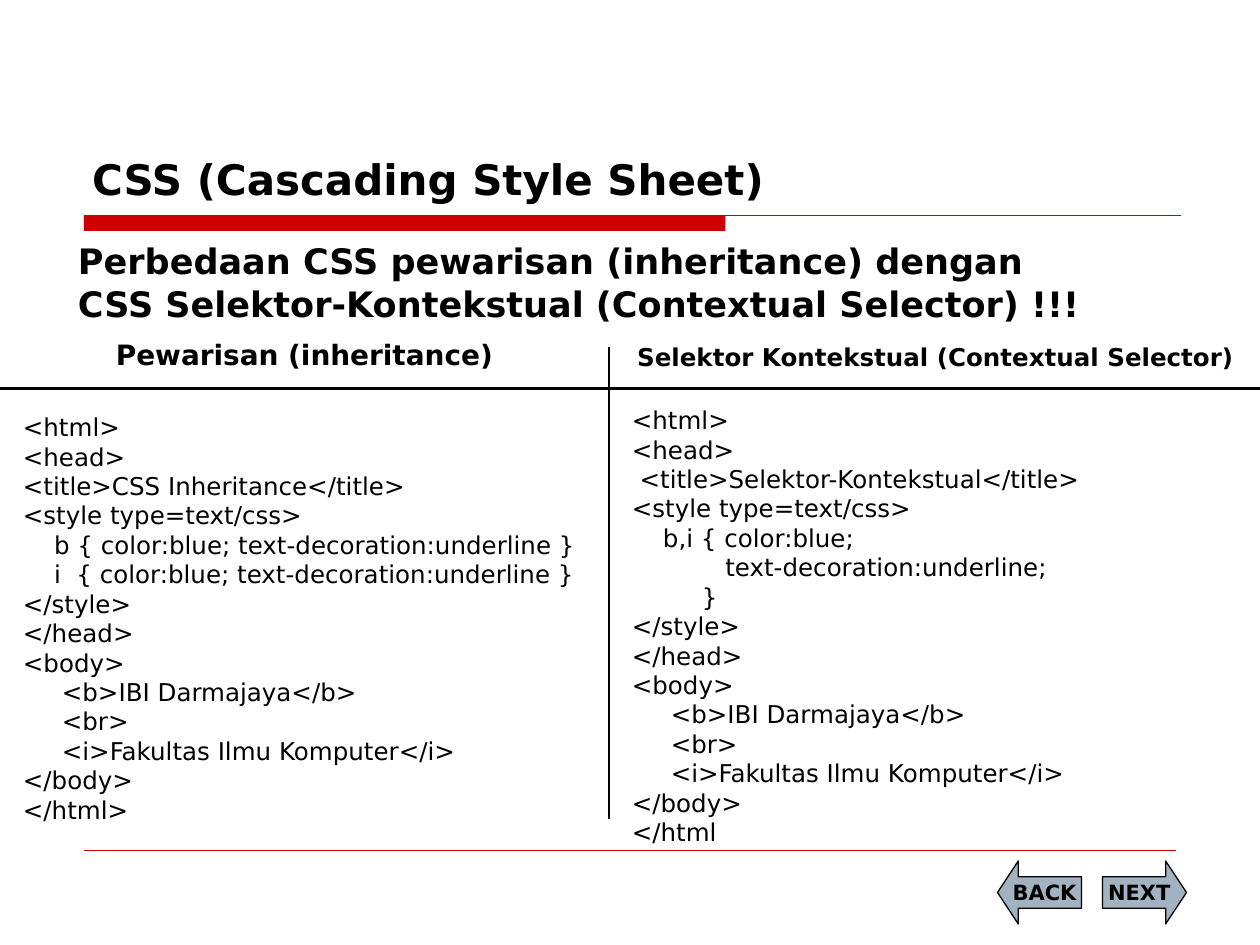
"""Build a slide that compares CSS inheritance with contextual selectors."""
from lxml.etree import SubElement
from pptx import Presentation
from pptx.dml.color import RGBColor
from pptx.enum.shapes import MSO_CONNECTOR as Conn, MSO_SHAPE as Geo
from pptx.enum.text import MSO_ANCHOR as Anchor, PP_ALIGN as Align
from pptx.oxml.ns import qn
from pptx.util import Pt

FACE = "DejaVu Sans"
RED, BLACK, GREY = "CC0000", "000000", "A3B2C1"
LEFT = """<html>
<head>
<title>CSS Inheritance</title>
<style type=text/css>
    b { color:blue; text-decoration:underline }
    i  { color:blue; text-decoration:underline }
</style>
</head>
<body>
     <b>IBI Darmajaya</b>
     <br>
     <i>Fakultas Ilmu Komputer</i>
</body>
</html>"""
RIGHT = """<html>
<head>
 <title>Selektor-Kontekstual</title>
<style type=text/css>
    b,i { color:blue;
            text-decoration:underline;
         }
</style>
</head>
<body>
     <b>IBI Darmajaya</b>
     <br>
     <i>Fakultas Ilmu Komputer</i>
</body>
</html"""


def tint(code):
    """Turn a hex string into a colour."""
    return RGBColor.from_string(code)


def style(item, form):
    """Set each value of a format dict on an object."""
    for key, value in form.items():
        setattr(item, key, value)


def write(frame, text, size, bold=True, para=None, **form):
    """Fill a text frame, one paragraph a line."""
    style(frame, {"word_wrap": True, **form})
    frame.text = text
    for par in frame.paragraphs:
        style(par, para or {})
        style(par.font, {"name": FACE, "size": Pt(size), "bold": bold})
        par.font.color.rgb = tint(BLACK)


def label(slide, place, text, size, **form):
    """Add a text box."""
    box = slide.shapes.add_textbox(*map(Pt, place))
    write(box.text_frame, text, size, **form)


def rule(slide, ends, color, width):
    """Add a straight line."""
    line = slide.shapes.add_connector(Conn.STRAIGHT, *map(Pt, ends))
    line.line.color.rgb = tint(color)
    line.line.width = Pt(width)
    SubElement(line._element.spPr, qn("a:effectLst"))


def solid(slide, geo, place, color):
    """Add a filled shape without a line."""
    shape = slide.shapes.add_shape(geo, *map(Pt, place))
    shape.shadow.inherit = False
    shape.fill.solid()
    shape.fill.fore_color.rgb = tint(color)
    shape.line.fill.background()
    return shape


def arrow(slide, geo, left, text):
    """Add a labelled navigation arrow."""
    shape = solid(slide, geo, (left, 492, 48, 36), GREY)
    shape.line.color.rgb = tint(BLACK)
    shape.line.width = Pt(0.75)
    shape.adjustments[1] = 0.33
    write(shape.text_frame, text, 12, para={"alignment": Align.CENTER},
          word_wrap=False, vertical_anchor=Anchor.MIDDLE)


def main():
    """Build and save the slide."""
    deck = Presentation()
    style(deck, {"slide_width": Pt(720), "slide_height": Pt(540)})
    slide = deck.slides.add_slide(deck.slide_layouts[6])

    solid(slide, Geo.RECTANGLE, (48, 123, 366.5, 9), RED)
    rule(slide, (48, 123, 675, 123), RED, 0.75)
    rule(slide, (48, 486, 672, 486), RED, 0.25)
    label(slide, (45.5, 24, 674.5, 96), "CSS (Cascading Style Sheet)", 24,
          vertical_anchor=Anchor.BOTTOM)
    label(slide, (37.5, 132.5, 628.5, 60),
          "Perbedaan CSS pewarisan (inheritance) dengan\n"
          "CSS Selektor-Kontekstual (Contextual Selector) !!!", 20,
          para={"line_spacing": Pt(24.6)})

    rule(slide, (0, 222, 720, 222), BLACK, 1.5)
    rule(slide, (348, 198, 348, 468), BLACK, 1.5)
    label(slide, (0, 189.5, 348, 26.5), "Pewarisan (inheritance)", 16,
          para={"alignment": Align.CENTER})
    label(slide, (357, 192, 372, 24.5),
          "Selektor Kontekstual (Contextual Selector)", 14)
    for place, code in (((6, 232, 348, 242.5), LEFT),
                        ((354, 228, 332, 259), RIGHT)):
        label(slide, place, code, 14, bold=False,
              para={"line_spacing": Pt(16.8)})

    arrow(slide, Geo.RIGHT_ARROW, 630, "NEXT")
    arrow(slide, Geo.LEFT_ARROW, 570, "BACK")
    deck.save("out.pptx")


if __name__ == "__main__":
    main()
